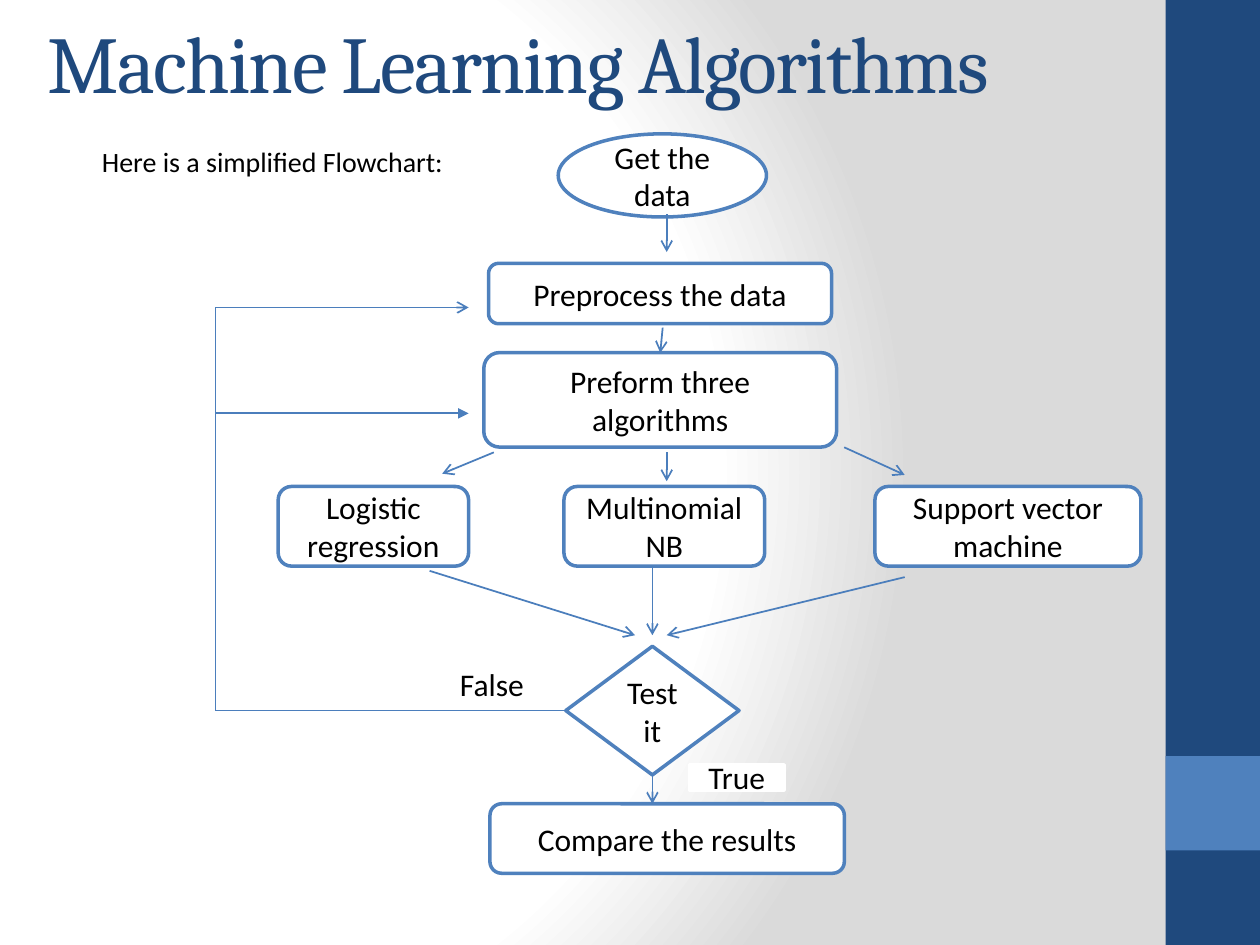
import pptx
import pptx.util
import pptx.dml.color
import pptx.enum.shapes
import pptx.enum.text
import pptx.oxml
import pptx.oxml.ns

Pt = pptx.util.Pt
SHAPE = pptx.enum.shapes.MSO_SHAPE
ALIGN = pptx.enum.text.PP_ALIGN
ANCHOR = pptx.enum.text.MSO_ANCHOR
qn = pptx.oxml.ns.qn


def color(hex_string):
    return pptx.dml.color.RGBColor.from_string(hex_string)


class Flowchart:
    NAVY, BLUE, ARROW = "1F497D", "4F81BD", "4B7EBC"
    WHITE, GRAY, BLACK = "FFFFFF", "DADADA", "000000"
    HEAD, BODY = "Cambria", "Calibri"

    def __init__(self, s):
        self.s = s

    def background(self):
        self.s.background.fill.gradient()
        old = next(self.s.element.iter(qn("a:gradFill")))
        stops = "".join(
            f'<a:gs pos="{pos * 1000}"><a:srgbClr val="{c}"/></a:gs>'
            for pos, c in ((0, self.WHITE), (75, self.WHITE), (100, self.GRAY)))
        new = pptx.oxml.parse_xml(
            f'<a:gradFill {pptx.oxml.ns.nsdecls("a")} rotWithShape="1">'
            f'<a:gsLst>{stops}</a:gsLst><a:path path="circle">'
            '<a:fillToRect l="20000" t="50000" r="100000" b="50000"/>'
            '</a:path></a:gradFill>')
        old.getparent().replace(old, new)

    def font(self, p, size, name, c):
        p.font.size, p.font.name = Pt(size), name
        p.font.color.rgb = color(c)

    def text(self, x, y, w, h, text, size, name, c, spacing=0):
        tf = self.s.shapes.add_textbox(Pt(x), Pt(y), Pt(w), Pt(h)).text_frame
        tf.word_wrap = True
        tf.vertical_anchor = ANCHOR.MIDDLE
        p = tf.paragraphs[0]
        r = p.add_run()
        r.text = text
        self.font(p, size, name, c)
        if spacing:
            r.font._element.set("spc", str(spacing * 100))

    def shape(self, kind, x, y, w, h, fill, line=None, text=""):
        sp = self.s.shapes.add_shape(kind, Pt(x), Pt(y), Pt(w), Pt(h))
        sp.shadow.inherit = False
        sp.fill.solid()
        sp.fill.fore_color.rgb = color(fill)
        if line:
            sp.line.color.rgb = color(line)
            sp.line.width = Pt(2)
        else:
            sp.line.fill.background()
        if text:
            tf = sp.text_frame
            tf.word_wrap = True
            tf.vertical_anchor = ANCHOR.MIDDLE
            p = tf.paragraphs[0]
            p.text, p.alignment = text, ALIGN.CENTER
            self.font(p, 18, self.BODY, self.BLACK)

    def step(self, kind, x, y, w, h, text):
        self.shape(kind, x, y, w, h, self.WHITE, self.BLUE, text)

    def label(self, x, y, w, h, text):
        self.shape(SHAPE.RECTANGLE, x, y, w, h, self.WHITE, self.WHITE, text)

    def line(self, x1, y1, x2, y2, head="arrow"):
        cn = self.s.shapes.add_connector(
            pptx.enum.shapes.MSO_CONNECTOR.STRAIGHT, Pt(x1), Pt(y1), Pt(x2), Pt(y2))
        cn.line.color.rgb = color(self.ARROW)
        cn.line.width = Pt(1)
        if head:
            ln = cn.line._get_or_add_ln()
            ln.append(ln.makeelement(qn("a:tailEnd"), {"type": head}))
        spPr = cn._element.spPr
        spPr.append(spPr.makeelement(qn("a:effectLst"), {}))


def main():
    prs = pptx.Presentation()
    prs.slide_width, prs.slide_height = Pt(720), Pt(540)
    chart = Flowchart(prs.slides.add_slide(prs.slide_layouts[6]))

    # Background and side band
    chart.background()
    chart.shape(SHAPE.RECTANGLE, 666, 0, 54, 540, chart.NAVY)
    chart.shape(SHAPE.RECTANGLE, 666, 432, 54, 54, chart.BLUE)

    # Title and introduction
    chart.text(20.2, 15.1, 629.3, 39.6, "Machine Learning Algorithms",
               46, chart.HEAD, chart.NAVY, spacing=-1)
    chart.text(51.2, 78.5, 300, 27, "Here is a simplified Flowchart:",
               16, chart.BODY, chart.BLACK)

    # Steps
    chart.step(SHAPE.OVAL, 319, 76.5, 119, 47.5, "Get the data")
    for x, y, w, h, text in (
            (279.2, 150.5, 196, 34.5, "Preprocess the data"),
            (276.5, 201.5, 201.6, 54, "Preform three algorithms"),
            (280, 459.3, 202.5, 39.7, "Compare the results")):
        chart.step(SHAPE.ROUNDED_RECTANGLE, x, y, w, h, text)
    for x, w, text in ((159, 108.8, "Logistic regression"),
                       (322.3, 114.7, "Multinomial NB"),
                       (500, 152, "Support vector machine")):
        chart.step(SHAPE.ROUNDED_RECTANGLE, x, 278, w, 45.5, text)
    chart.step(SHAPE.DIAMOND, 323.3, 369.3, 99, 73.5, "Test it")

    # Branch labels
    chart.label(255.6, 378, 51, 26, "False")
    chart.label(394, 437, 54, 14.4, "True")

    # Arrows between steps
    middle, test_x, test_top = 381, 372.8, 363
    for ends in ((middle, 122.4, middle, 144),
                 (378.7, 187.2, 377.3, 201.6),
                 (282.2, 258.5, 252.7, 270.7),
                 (middle, 258.5, middle, 275),
                 (482.4, 255.6, 517, 271.4),
                 (245.5, 326.2, 362.9, test_top),
                 (test_x, 323.5, test_x, test_top),
                 (517, 329.8, middle, test_top),
                 (test_x, 442.8, test_x, 459.3)):
        chart.line(*ends)

    # Loop back when the test is false
    loop_x, loop_end, test_y, top_y, low_y = 123.1, 267.8, 406, 175.7, 236.2
    chart.line(323.3, test_y, loop_x, test_y, head=None)
    chart.line(loop_x, test_y, loop_x, top_y, head=None)
    chart.line(loop_x, top_y, loop_end, top_y)
    chart.line(loop_x, low_y, loop_end, low_y, head="triangle")

    prs.save("out.pptx")


if __name__ == "__main__":
    main()
